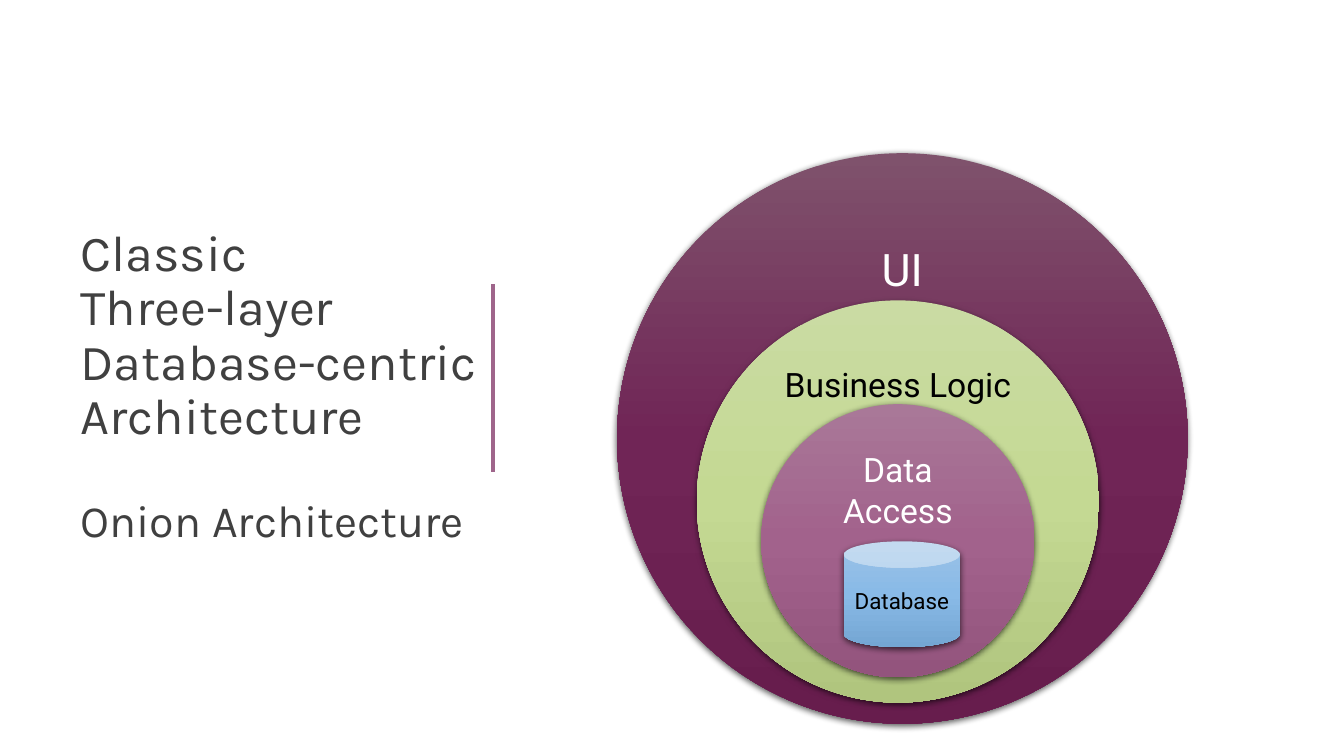
from copy import deepcopy
from dataclasses import dataclass

from pptx import Presentation
from pptx.dml.color import RGBColor
from pptx.enum.shapes import MSO_CONNECTOR, MSO_SHAPE
from pptx.enum.text import MSO_ANCHOR, MSO_AUTO_SIZE, PP_ALIGN
from pptx.oxml import parse_xml
from pptx.oxml.ns import nsdecls, qn
from pptx.util import Inches, Pt

LINE = MSO_CONNECTOR.STRAIGHT
OVAL, CAN = MSO_SHAPE.OVAL, MSO_SHAPE.CAN
TOP, MIDDLE = MSO_ANCHOR.TOP, MSO_ANCHOR.MIDDLE
LEFT, CENTER = PP_ALIGN.LEFT, PP_ALIGN.CENTER
FIXED = MSO_AUTO_SIZE.NONE


@dataclass(frozen=True)
class Theme:
    """Hold the fonts, type sizes and colours of the slide."""
    head: str = "Karla"
    body: str = "Roboto"
    big: int = 36
    large: int = 32
    mid: int = 24
    small: int = 16
    ink: str = "404040"
    rule: str = "9F658B"
    white: str = "FFFFFF"
    black: str = "000000"
    plum: tuple = ("7F526C", "702556", "671D4D")
    green: tuple = ("CADBA3", "C4D993", "B0C57E")
    mauve: tuple = ("A97898", "A2628C", "93547D")
    blue: tuple = ("9BC2E7", "89BAE7", "74A6D3")


THEME = Theme()


def apply(item, values):
    """Set each named value on an object."""
    for name, value in values.items():
        setattr(item, name, value)


def style(font, name, size, color):
    """Format a font."""
    apply(font, {"name": name, "size": Pt(size), "bold": False})
    font.color.rgb = RGBColor.from_string(color)


def add_title(slide, box, parts):
    """Fill the title with one paragraph for each text, size and gap."""
    title = slide.shapes.title
    apply(title, dict(zip(("left", "top", "width", "height"), map(Inches, box))))
    frame = title.text_frame
    apply(frame, {
        "auto_size": FIXED, "word_wrap": True, "vertical_anchor": MIDDLE,
        "margin_left": Inches(0.16), "margin_right": Inches(0.16),
        "margin_top": Inches(0.1), "margin_bottom": Inches(0.57),
    })
    frame.text = "\n".join(text for text, _, _ in parts)
    for para, (_, size, gap) in zip(frame.paragraphs, parts):
        apply(para, {"alignment": LEFT, "line_spacing": 0.9, "space_before": Pt(gap)})
        for run in para.runs:
            style(run.font, THEME.head, size, THEME.ink)


def add_rule(slide, x, top, end):
    """Draw the upright rule beside the title."""
    rule = slide.shapes.add_connector(LINE, *map(Inches, (x, top, x, end)))
    rule.line.width = Pt(2.25)
    rule.line.color.rgb = RGBColor.from_string(THEME.rule)
    rule._element.spPr.append(parse_xml(f"<a:effectLst {nsdecls('a')}/>"))


def shade(shape, colors):
    """Fill a shape from top to bottom with three colours."""
    fill = shape.fill
    fill.gradient()
    fill.gradient_angle = 270
    stops = shape._element.spPr.find(".//" + qn("a:gsLst"))
    stops.append(deepcopy(stops[-1]))
    for stop, color, place in zip(fill.gradient_stops, colors, (0, 0.5, 1)):
        stop.color.rgb = RGBColor.from_string(color)
        stop.position = place


def cast(shape):
    """Give a shape a soft shadow below it."""
    shape.shadow.inherit = False
    shape._element.spPr.find(qn("a:effectLst")).append(parse_xml(
        f'<a:outerShdw {nsdecls("a")} blurRad="{Pt(4.5)}" dist="{Pt(1.5)}" '
        f'dir="5400000" rotWithShape="0"><a:srgbClr val="{THEME.black}">'
        '<a:alpha val="63000"/></a:srgbClr></a:outerShdw>'))


def add_layer(slide, kind, box, text, size, ink, colors, anchor=TOP):
    """Add one labelled layer of the onion."""
    shape = slide.shapes.add_shape(kind, *map(Inches, box))
    shade(shape, colors)
    shape.line.fill.background()
    cast(shape)
    frame = shape.text_frame
    apply(frame, {"word_wrap": True, "vertical_anchor": anchor, "text": text})
    para = frame.paragraphs[0]
    para.alignment = CENTER
    style(para.runs[0].font, THEME.body, size, ink)


def main():
    """Build and save the slide."""
    deck = Presentation()
    apply(deck, {"slide_width": Inches(13.33), "slide_height": Inches(7.5)})
    slide = deck.slides.add_slide(deck.slide_layouts[5])
    add_rule(slide, 4.89, 2.82, 4.68)
    add_title(slide, (0.64, 1.3, 4.27, 5.56), (
        ("Classic \vThree-layer Database-centric Architecture", THEME.big, 0),
        ("Onion Architecture", THEME.large, 38),
    ))
    rings = (
        (6.12, 1.52, 5.66, "UI", THEME.large, THEME.white, THEME.plum),
        (6.91, 2.98, 3.99, "Business Logic", THEME.mid, THEME.black, THEME.green),
        (7.55, 4.01, 2.71, "Data Access", THEME.mid, THEME.white, THEME.mauve),
    )
    for left, top, side, *look in rings:
        add_layer(slide, OVAL, (left, top, side, side), *look)
    add_layer(slide, CAN, (8.37, 5.37, 1.15, 1.05), "Database",
              THEME.small, THEME.black, THEME.blue, MIDDLE)
    deck.save("out.pptx")


if __name__ == "__main__":
    main()
